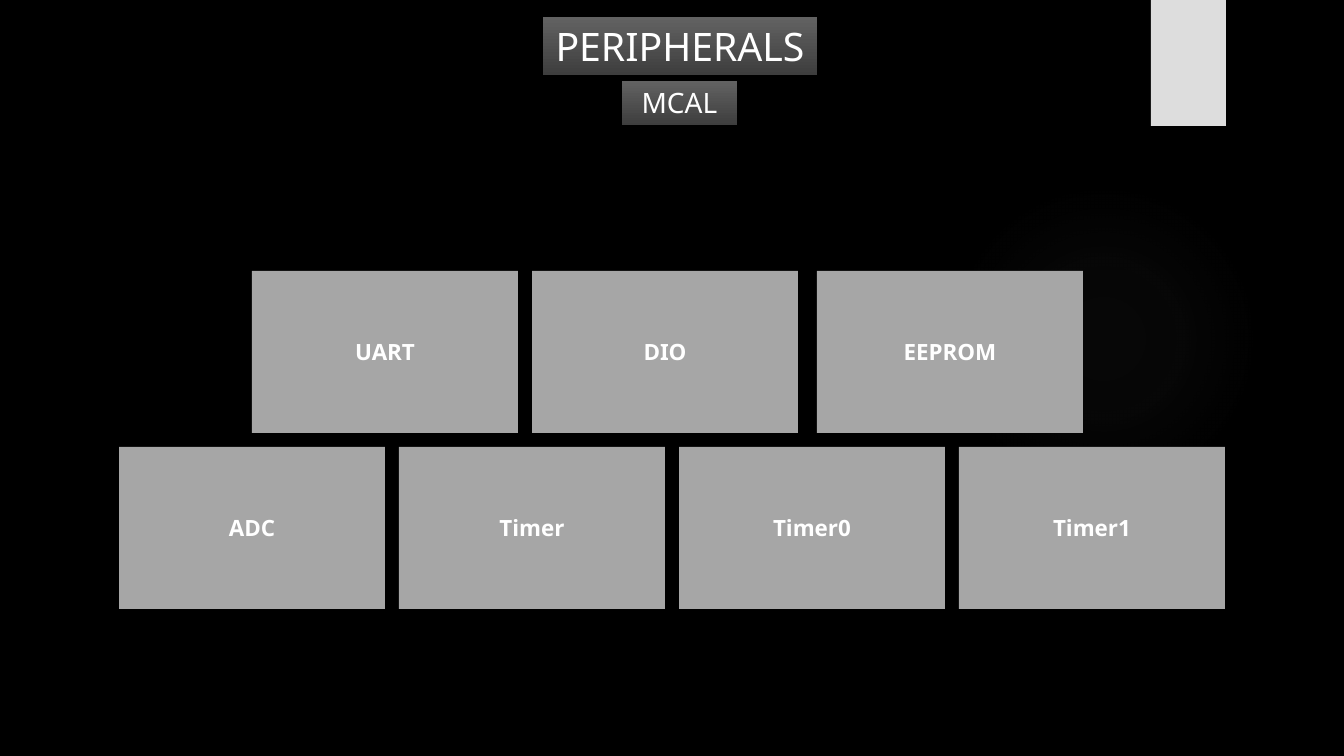
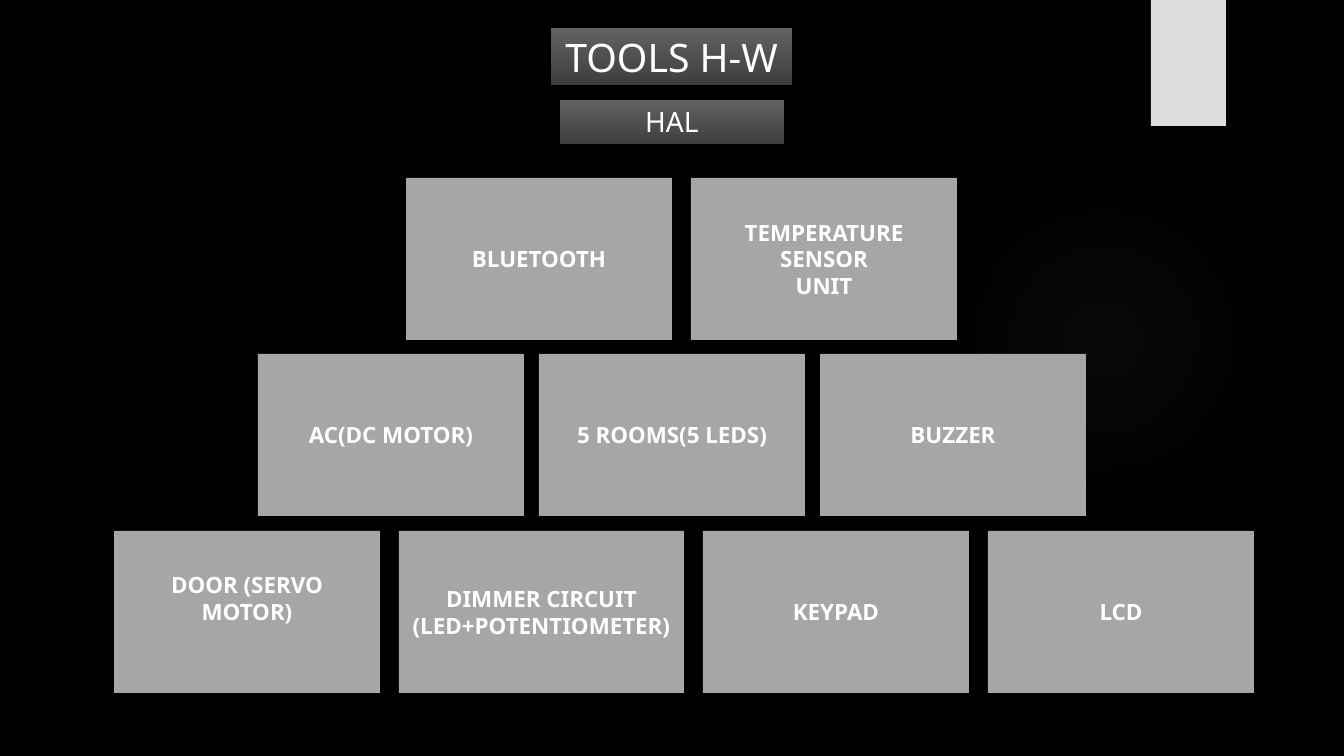
"""Build two slides of labelled boxes stacked in rows under a heading."""
import pptx
import pptx.dml.color
import pptx.enum.shapes
import pptx.enum.text
import pptx.oxml
import pptx.oxml.ns
import pptx.util

SCALE = pptx.util.Inches(1) / 100.8
BLACK = pptx.dml.color.RGBColor(0x00, 0x00, 0x00)
WHITE = pptx.dml.color.RGBColor(0xFF, 0xFF, 0xFF)
TAB_GRAY = pptx.dml.color.RGBColor(0xDD, 0xDD, 0xDD)
BOX_GRAY = pptx.dml.color.RGBColor(0xA6, 0xA6, 0xA6)
HEADING_TOP = pptx.dml.color.RGBColor(0x62, 0x62, 0x62)
HEADING_BOTTOM = pptx.dml.color.RGBColor(0x3E, 0x3E, 0x3E)
GLOW_GRAY = pptx.dml.color.RGBColor(0x66, 0x66, 0x66)
RECTANGLE = pptx.enum.shapes.MSO_SHAPE.RECTANGLE
OVAL = pptx.enum.shapes.MSO_SHAPE.OVAL

FONT = "Noto Sans"
GLOW_STOPS = [(0, 7), (36, 6), (69, 0)]
HEADING_FORMAT = {"name": FONT, "size": pptx.util.Pt(28), "bold": False}
SUBHEADING_FORMAT = {"name": FONT, "size": pptx.util.Pt(20), "bold": False}
BOX_FORMAT = {"name": FONT, "size": pptx.util.Pt(16), "bold": True}
BOX_WIDTH, BOX_HEIGHT = 266, 162
DOOR = "DOOR (SERVO MOTOR)"
DIMMER = "DIMMER CIRCUIT (LED+POTENTIOMETER)"
WIDTHS = {DIMMER: 285}
BOTTOM_INSETS = {DOOR: 32}

SLIDES = [
    {
        "headings": [
            ("PERIPHERALS", (543, 17, 274, 58), HEADING_FORMAT),
            ("MCAL", (622, 81, 115, 44), SUBHEADING_FORMAT),
        ],
        "rows": [
            (271, 252, 14, ["UART", "DIO"]),
            (271, 817, 14, ["EEPROM"]),
            (447, 119, 14, ["ADC", "Timer", "Timer0", "Timer1"]),
        ],
    },
    {
        "headings": [
            ("TOOLS H-W", (551, 28, 241, 57), HEADING_FORMAT),
            ("HAL", (560, 100, 224, 44), SUBHEADING_FORMAT),
        ],
        "rows": [
            (178, 406, 19, ["BLUETOOTH", "TEMPERATURE\nSENSOR\nUNIT"]),
            (354, 258, 15, ["AC(DC MOTOR)", "5 ROOMS(5 LEDS)", "BUZZER"]),
            (531, 114, 19, [DOOR, DIMMER, "KEYPAD", "LCD"]),
        ],
    },
]


def add_block(page, kind, place, color=None):
    block = page.shapes.add_shape(kind, *[round(length * SCALE) for length in place])
    block.shadow.inherit = False
    block.line.fill.background()
    if color is None:
        block.fill.background()
    else:
        block.fill.solid()
        block.fill.fore_color.rgb = color
    return block


def write_text(block, text, font_format, anchor):
    frame = block.text_frame
    frame.word_wrap = True
    frame.vertical_anchor = anchor
    for number, line in enumerate(text.split("\n")):
        para = frame.add_paragraph() if number else frame.paragraphs[0]
        para.alignment = pptx.enum.text.PP_ALIGN.CENTER
        span = para.add_run()
        span.text = line
        span.font.color.rgb = WHITE
        for name, value in font_format.items():
            setattr(span.font, name, value)


deck = pptx.Presentation()
deck.slide_width = round(1344 * SCALE)
deck.slide_height = round(756 * SCALE)
backdrop = deck.slide_master.background.fill
backdrop.solid()
backdrop.fore_color.rgb = BLACK

glow_stops = "".join(
    f'<a:gs pos="{position * 1000}"><a:srgbClr val="{GLOW_GRAY}">'
    f'<a:alpha val="{opacity * 1000}"/></a:srgbClr></a:gs>'
    for position, opacity in GLOW_STOPS
)
glow_xml = (
    f'<a:gradFill {pptx.oxml.ns.nsdecls("a")}><a:gsLst>{glow_stops}</a:gsLst>'
    '<a:path path="circle"><a:fillToRect l="50000" t="50000" r="50000" b="50000"/>'
    "</a:path></a:gradFill>"
)

for content in SLIDES:
    page = deck.slides.add_slide(deck.slide_layouts[6])

    glow = add_block(page, OVAL, (949, 184, 310, 310))
    properties = glow.element.spPr
    empty_fill = properties.find(pptx.oxml.ns.qn("a:noFill"))
    properties.replace(empty_fill, pptx.oxml.parse_xml(glow_xml))
    add_block(page, RECTANGLE, (1151, 0, 75, 126), TAB_GRAY)

    for text, place, font_format in content["headings"]:
        heading = add_block(page, RECTANGLE, place)
        heading.fill.gradient()
        heading.fill.gradient_angle = 270
        for stop, position, color in zip(
            heading.fill.gradient_stops, (0, 1), (HEADING_TOP, HEADING_BOTTOM)
        ):
            stop.position = position
            stop.color.rgb = color
        write_text(heading, text, font_format, pptx.enum.text.MSO_ANCHOR.TOP)
        heading.text_frame.auto_size = pptx.enum.text.MSO_AUTO_SIZE.SHAPE_TO_FIT_TEXT

    for top, left, gap, labels in content["rows"]:
        for label in labels:
            width = WIDTHS.get(label, BOX_WIDTH)
            box = add_block(page, RECTANGLE, (left, top, width, BOX_HEIGHT), BOX_GRAY)
            write_text(box, label, BOX_FORMAT, pptx.enum.text.MSO_ANCHOR.MIDDLE)
            box.text_frame.margin_bottom = round(BOTTOM_INSETS.get(label, 5) * SCALE)
            left += width + gap

deck.save("out.pptx")
